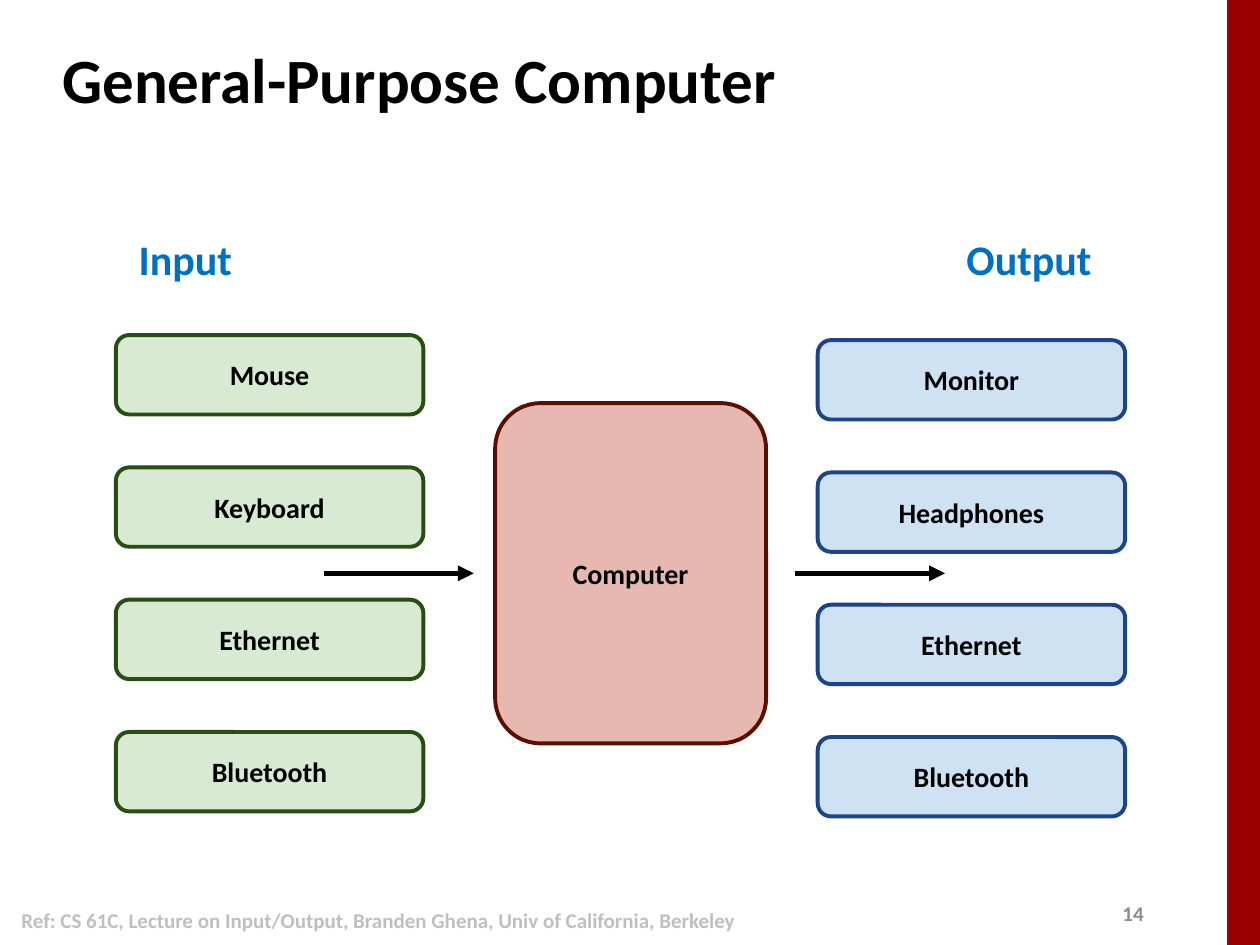
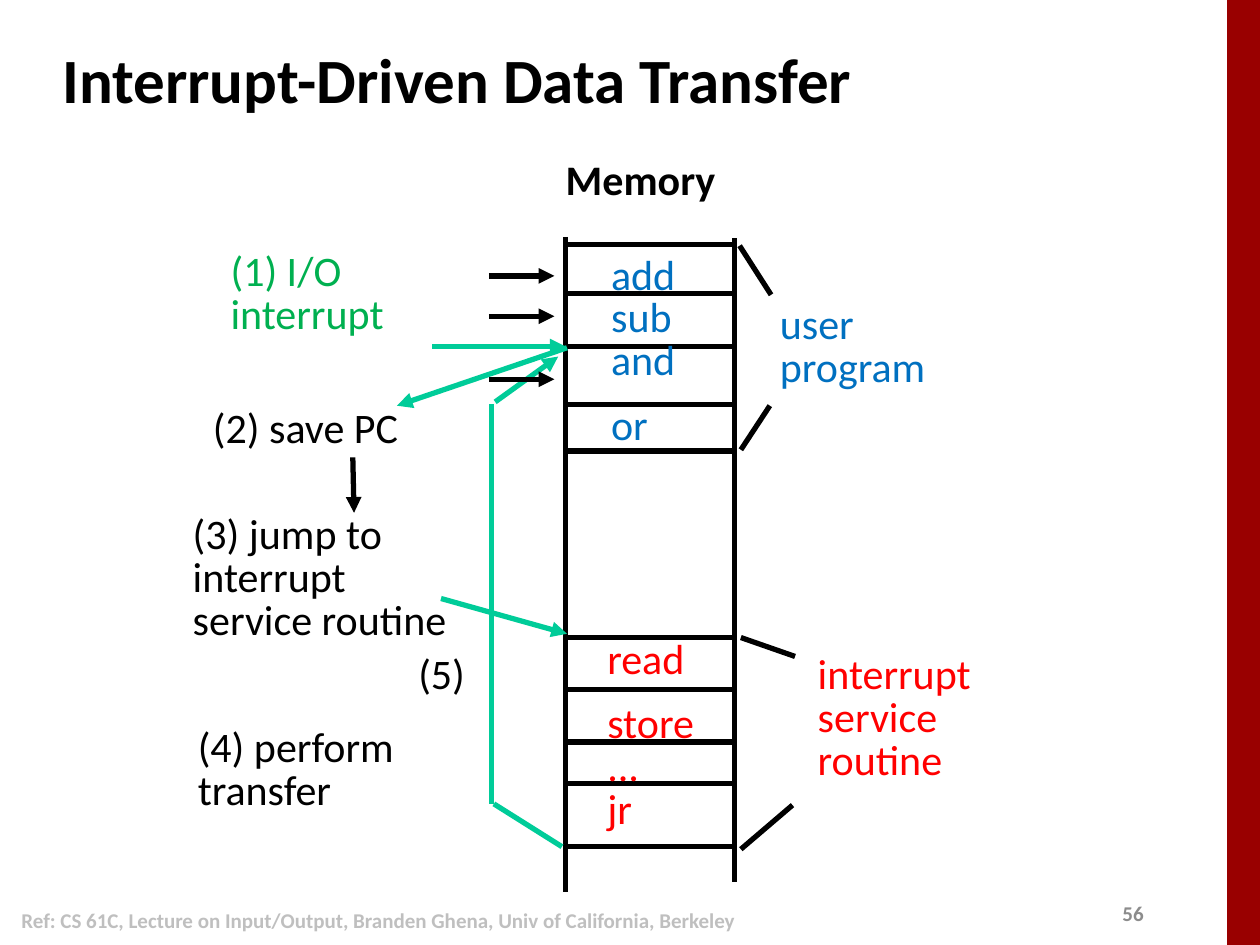
import pptx
import pptx.dml.color
import pptx.enum.shapes
import pptx.enum.text
import pptx.oxml.ns
import pptx.util
from lxml import etree

COLORS = {
    "ink": "000000", "band": "990000", "number": "8C8C8C", "footer": "BFBFBF",
    "blue": "0070C0", "green": "00B050", "red": "FF0000", "flow": "00CC99",
    "computer": "E6B8AF", "computer_edge": "5B0F00",
    "input": "D9EAD3", "input_edge": "274E13",
    "output": "CFE2F3", "output_edge": "1C4587",
}
FONT = "Calibri"
COLUMNS, ROWS = 100, 75
TWO_CONTENT, TITLE_ONLY = 3, 5
REFERENCE = "Ref: CS 61C, Lecture on Input/Output, Branden Ghena, Univ of California, Berkeley"
ALIGN = pptx.enum.text.PP_ALIGN
ANCHOR = pptx.enum.text.MSO_ANCHOR
SHAPE = pptx.enum.shapes.MSO_SHAPE


def color(name):
    return pptx.dml.color.RGBColor.from_string(COLORS[name])


class Lecture:
    def __init__(self):
        self.deck = pptx.Presentation()
        self.deck.slide_width = pptx.util.Inches(10)
        self.deck.slide_height = pptx.util.Inches(7.5)
        self.page = None

    def x(self, columns):
        return round(self.deck.slide_width * columns / COLUMNS)

    def y(self, rows):
        return round(self.deck.slide_height * rows / ROWS)

    def area(self, left, top, width, height):
        return self.x(left), self.y(top), self.x(width), self.y(height)

    def place(self, box, area):
        box.left, box.top, box.width, box.height = self.area(*area)

    def frame(self, box, inset=(1, 1), anchor=ANCHOR.TOP):
        frame = box.text_frame
        frame.word_wrap = True
        frame.auto_size = pptx.enum.text.MSO_AUTO_SIZE.NONE
        frame.vertical_anchor = anchor
        frame.margin_left = frame.margin_right = self.x(inset[0])
        frame.margin_top = frame.margin_bottom = self.y(inset[1])
        return frame

    def span(self, para, words, size, ink="ink", bold=False):
        span = para.add_run()
        span.text = words
        span.font.name = FONT
        span.font.size = pptx.util.Pt(size)
        span.font.bold = bold
        span.font.color.rgb = color(ink)

    def start(self, layout, title, number):
        self.page = self.deck.slides.add_slide(self.deck.slide_layouts[layout])
        heading = self.page.shapes.title
        self.place(heading, (3.95, 2.1, 83, 8.3))
        para = self.frame(heading, anchor=ANCHOR.MIDDLE).paragraphs[0]
        para.alignment = ALIGN.LEFT
        self.span(para, title, 36, bold=True)
        self.block(SHAPE.RECTANGLE, (97.4, 0, 2.6, 75), "band")
        self.label((88.1, 71, 5, 3), number, "number")
        self.label((0.1, 70.5, 59.9, 5), REFERENCE, "footer", ALIGN.CENTER)

    def label(self, area, words, ink, align=ALIGN.LEFT):
        box = self.page.shapes.add_textbox(*self.area(*area))
        para = self.frame(box, (1, 0.5), ANCHOR.MIDDLE).paragraphs[0]
        para.alignment = align
        self.span(para, words, 12, ink, True)

    def heading(self, index, area, words):
        box = self.page.placeholders[index]
        self.place(box, area)
        para = self.frame(box).paragraphs[0]
        para.space_before = pptx.util.Pt(0)
        settings = para._p.get_or_add_pPr()
        settings.set("marL", "0")
        settings.set("indent", "0")
        etree.SubElement(settings, pptx.oxml.ns.qn("a:buNone"))
        self.span(para, words, 24, "blue", True)

    def block(self, kind, area, fill, edge=None, words=None):
        box = self.page.shapes.add_shape(kind, *self.area(*area))
        box.shadow.inherit = False
        box.fill.solid()
        box.fill.fore_color.rgb = color(fill)
        if edge:
            box.line.color.rgb = color(edge)
            box.line.width = pptx.util.Pt(2.25)
        else:
            box.line.fill.background()
        if words:
            para = self.frame(box, anchor=ANCHOR.MIDDLE).paragraphs[0]
            para.alignment = ALIGN.CENTER
            self.span(para, words, 16, bold=True)

    def note(self, area, lines, ink="ink", bold=False, gap_before=None):
        box = self.page.shapes.add_textbox(*self.area(*area))
        frame = self.frame(box, (0.7, 0.3))
        for index, words in enumerate(lines):
            para = frame.add_paragraph() if index else frame.paragraphs[0]
            para.line_spacing = 0.85
            if words == gap_before:
                para.space_before = pptx.util.Pt(12.4)
            self.span(para, words, 24, ink, bold)

    def line(self, start, end, ink="ink", arrow=False):
        line = self.page.shapes.add_connector(
            pptx.enum.shapes.MSO_CONNECTOR.STRAIGHT,
            self.x(start[0]), self.y(start[1]), self.x(end[0]), self.y(end[1]))
        line.line.color.rgb = color(ink)
        line.line.width = pptx.util.Pt(3)
        if arrow:
            etree.SubElement(line.line._get_or_add_ln(),
                             pptx.oxml.ns.qn("a:tailEnd"), type="triangle")
        etree.SubElement(line._element.spPr, pptx.oxml.ns.qn("a:effectLst"))


def computer_page(lecture):
    lecture.start(TWO_CONTENT, "General-Purpose Computer", "14")
    lecture.heading(1, (10, 17.5, 20, 6.5), "Input")
    lecture.heading(2, (75.7, 17.5, 14.3, 6.5), "Output")
    lecture.block(SHAPE.ROUNDED_RECTANGLE, (39.3, 32, 21.5, 27),
                  "computer", "computer_edge", "Computer")
    devices = [
        ("input", 9.2, 26.6, ["Mouse", "Keyboard", "Ethernet", "Bluetooth"]),
        ("output", 64.9, 27, ["Monitor", "Headphones", "Ethernet", "Bluetooth"]),
    ]
    for side, left, top, names in devices:
        for row, name in enumerate(names):
            lecture.block(SHAPE.ROUNDED_RECTANGLE, (left, top + 10.5 * row, 24.4, 6.3),
                          side, side + "_edge", name)
    for left in (25.7, 63.1):
        lecture.line((left, 45.5), (left + 11.9, 45.5), arrow=True)


def interrupt_page(lecture):
    lecture.start(TITLE_ONLY, "Interrupt-Driven Data Transfer", "56")
    lecture.note((44.2, 12.5, 17.4, 4.7), ["Memory"], bold=True)
    lecture.line((44.9, 18.8), (44.9, 70.8))
    lecture.line((58.3, 18.9), (58.3, 70))
    for row in (19.4, 23.3, 27.5, 32.1, 35.8, 50.6, 54.7, 58.9, 62.2, 67.2):
        lecture.line((45, row), (58.2, row))

    lecture.note((47.8, 20, 8.2, 17.2), ["add", "sub", "and", "or"], "blue", gap_before="or")
    lecture.note((47.5, 50.5, 10.4, 15.6), ["read", "store", "...", "jr"], "red",
                 gap_before="store")
    lecture.note((61.2, 23.9, 16.4, 8.7), ["user", "program"], "blue")
    lecture.note((64.2, 51.7, 16.4, 12.7), ["interrupt", "service", "routine"], "red")
    brackets = [((58.7, 19.5), (61.2, 23.4)), ((58.8, 35.7), (61.1, 32.2)),
                ((58.8, 50.6), (63.1, 52.1)), ((58.8, 67.4), (62.9, 63.9))]
    for start, end in brackets:
        lecture.line(start, end)

    lecture.note((17.6, 19.7, 20.8, 10.4), ["(1) I/O", "interrupt"], "green")
    lecture.note((16.2, 32.2, 19.5, 4.7), ["(2) save PC"])
    lecture.note((14.6, 40.6, 26, 12.7), ["(3) jump to interrupt", "service routine"])
    lecture.note((15, 57.5, 21.7, 8.7), ["(4) perform transfer"])
    lecture.note((32.5, 51.7, 10.4, 5.2), ["(5)"])

    flows = [((34.3, 27.5), (44.9, 27.5)), ((45, 27.6), (31.5, 32.2)),
             ((35, 47.5), (45, 50.3)), ((39.3, 31.9), (44.3, 28.3))]
    for start, end in flows:
        lecture.line(start, end, "flow", True)
    lecture.line((44.6, 67.2), (39.2, 63.8), "flow")
    lecture.line((39, 63.8), (39, 32.1), "flow")
    for row in (21.9, 25.1, 30.1):
        lecture.line((38.8, row), (44, row), arrow=True)
    lecture.line((28, 36.3), (28.1, 40.7), arrow=True)


def main():
    lecture = Lecture()
    computer_page(lecture)
    interrupt_page(lecture)
    lecture.deck.save("out.pptx")


if __name__ == "__main__":
    main()
